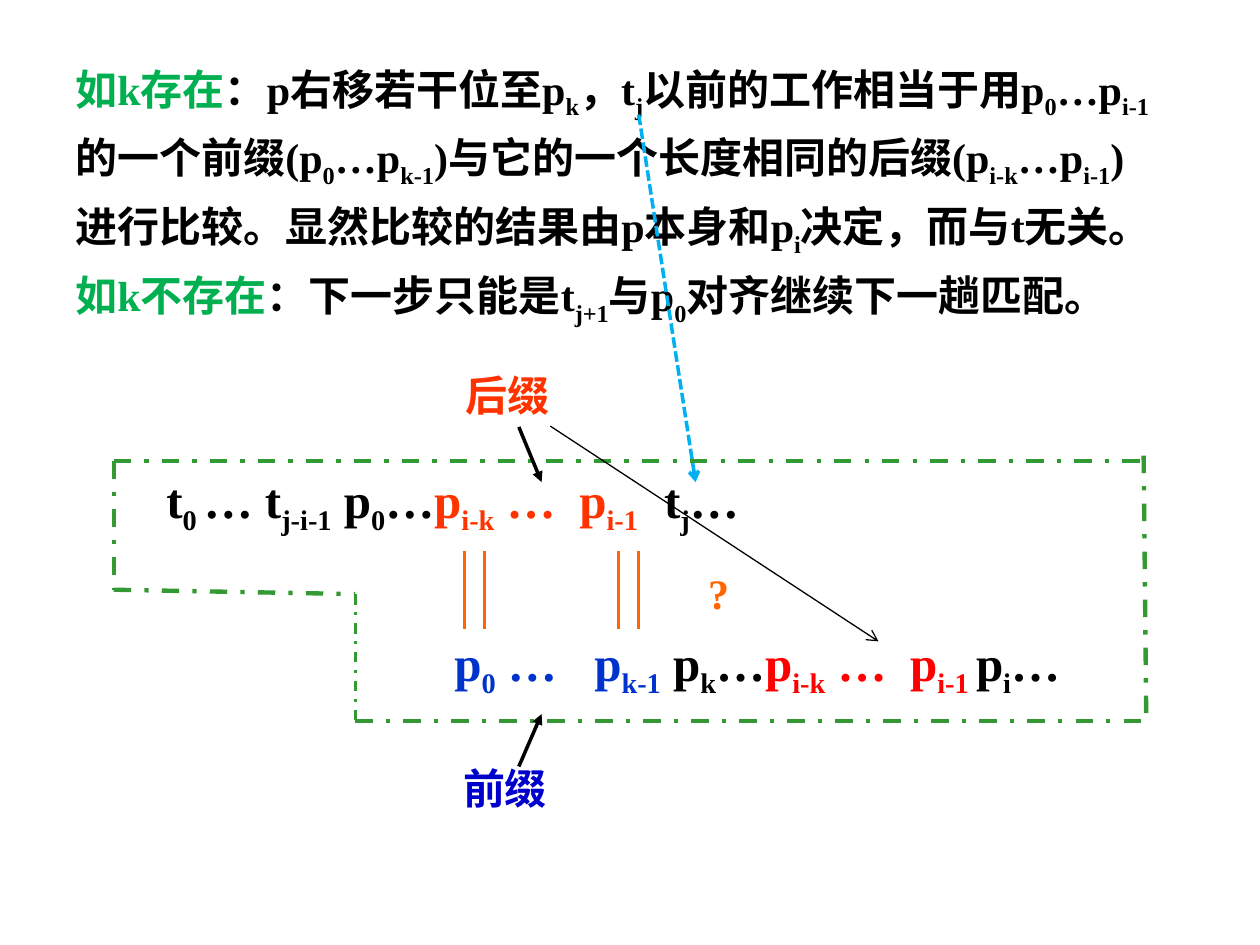
from dataclasses import dataclass

from lxml.etree import SubElement
from pptx import Presentation
from pptx.dml.color import RGBColor
from pptx.enum.dml import MSO_LINE
from pptx.enum.shapes import MSO_CONNECTOR
from pptx.oxml.ns import qn
from pptx.util import Pt


@dataclass(frozen=True)
class Theme:
    font: str = "Times New Roman"
    body: int = 24
    formula: int = 28
    black: str = "000000"
    heading: str = "00B050"
    suffix: str = "FF3300"
    prefix: str = "0033CC"
    prefix_label: str = "0000CC"
    repeated: str = "FF0000"
    match: str = "FF6600"
    frame: str = "339933"
    shift: str = "00B0F0"


class SlideBuilder:
    def __init__(self, page, theme):
        self.page = page
        self.theme = theme

    def text(self, left, top, width, height, paragraphs, size, spacing=None, tabs=()):
        box = self.page.shapes.add_textbox(Pt(left), Pt(top), Pt(width), Pt(height))
        frame = box.text_frame
        frame.word_wrap = True
        for index, pieces in enumerate(paragraphs):
            para = frame.add_paragraph() if index else frame.paragraphs[0]
            if spacing:
                para.line_spacing = spacing
            if tabs:
                self.tab_stops(para, tabs)
            para.font.name = self.theme.font
            para.font.size = Pt(size)
            para.font.bold = True
            for content, colour in pieces:
                self.spans(para, content, colour)

    def tab_stops(self, para, positions):
        stops = SubElement(para._p.get_or_add_pPr(), qn("a:tabLst"))
        for position in positions:
            SubElement(stops, qn("a:tab"), pos=str(Pt(position)), algn="l")

    def spans(self, para, content, colour):
        for index, part in enumerate(content.replace("}", "{").split("{")):
            if not part:
                continue
            span = para.add_run()
            span.text = part
            span.font.color.rgb = RGBColor.from_string(colour)
            if index % 2:
                span._r.get_or_add_rPr().set("baseline", "-25000")

    def label(self, left, top, width, content, colour):
        self.text(left, top, width, 36, [[(content, colour)]], self.theme.body)

    def line(self, start, end, colour, weight, dash=None, head=None):
        points = [Pt(value) for value in (*start, *end)]
        connector = self.page.shapes.add_connector(MSO_CONNECTOR.STRAIGHT, *points)
        connector.line.color.rgb = RGBColor.from_string(colour)
        connector.line.width = Pt(weight)
        if dash:
            connector.line.dash_style = dash
        if head:
            SubElement(connector.line._get_or_add_ln(), qn("a:tailEnd"), type=head)
        SubElement(connector._element.spPr, qn("a:effectLst"))


def main():
    theme = Theme()
    deck = Presentation()
    deck.slide_width, deck.slide_height = Pt(720), Pt(540)
    page = deck.slides.add_slide(deck.slide_layouts[6])
    builder = SlideBuilder(page, theme)

    explanation = [
        [
            ("如k存在", theme.heading),
            (
                "：p右移若干位至p{k}，t{j}以前的工作相当于用p{0}…p{i-1}"
                "的一个前缀(p{0}…p{k-1})与它的一个长度相同的后缀(p{i-k}…p{i-1})"
                "进行比较。显然比较的结果由p本身和p{i}决定，而与t无关。",
                theme.black,
            ),
        ],
        [
            ("如k不存在", theme.heading),
            ("：下一步只能是t{j+1}与p{0}对齐继续下一趟匹配。", theme.black),
        ],
    ]
    builder.text(36, 26, 636, 199.5, explanation, theme.body, spacing=1.2)
    builder.line((365, 65.5), (397.5, 275.5), theme.shift, 2, MSO_LINE.SQUARE_DOT, "arrow")

    target = [
        ("t{0 }… t{j-i-1} p{0}…", theme.black),
        ("p{i-k} …\tp{i-1}", theme.suffix),
        ("\tt{j}…", theme.black),
    ]
    pattern = [
        ("p{0} …\tp{k-1}", theme.prefix),
        (" p{k}…", theme.black),
        ("p{i-k} …\tp{i-1 }", theme.repeated),
        ("p{i}…", theme.black),
    ]
    builder.text(88, 264.5, 380, 45, [target], theme.formula, tabs=(236, 284.5))
    builder.text(252.5, 358, 400, 45, [pattern], theme.formula, tabs=(80, 260.5))

    for pair in (265.5, 353.5):
        for x in (pair, pair + 11.5):
            builder.line((x, 315), (x, 359.5), theme.match, 1.5)
    builder.label(397.5, 321, 37, "?", theme.match)

    frame_sides = [
        ((65, 263.5), (65, 337), 2.5),
        ((65, 337), (203, 339.5), 2.5),
        ((203, 339.5), (203, 412), 1.5),
        ((203, 412), (654.5, 412), 2.5),
        ((655, 407.5), (653.5, 259.5), 2.5),
        ((65, 263.5), (653.5, 263.5), 2.5),
    ]
    for start, end, weight in frame_sides:
        builder.line(start, end, theme.frame, weight, MSO_LINE.DASH_DOT)

    builder.label(257.5, 432, 68, "前缀", theme.prefix_label)
    builder.label(259, 207.5, 73, "后缀", theme.suffix)
    builder.line((296.5, 438), (309.5, 408), theme.black, 2, head="triangle")
    builder.line((296.5, 244), (309.5, 275.5), theme.black, 2, head="triangle")
    builder.line((314.5, 243.5), (502, 366.5), theme.black, 0.75, head="arrow")

    deck.save("out.pptx")


if __name__ == "__main__":
    main()
